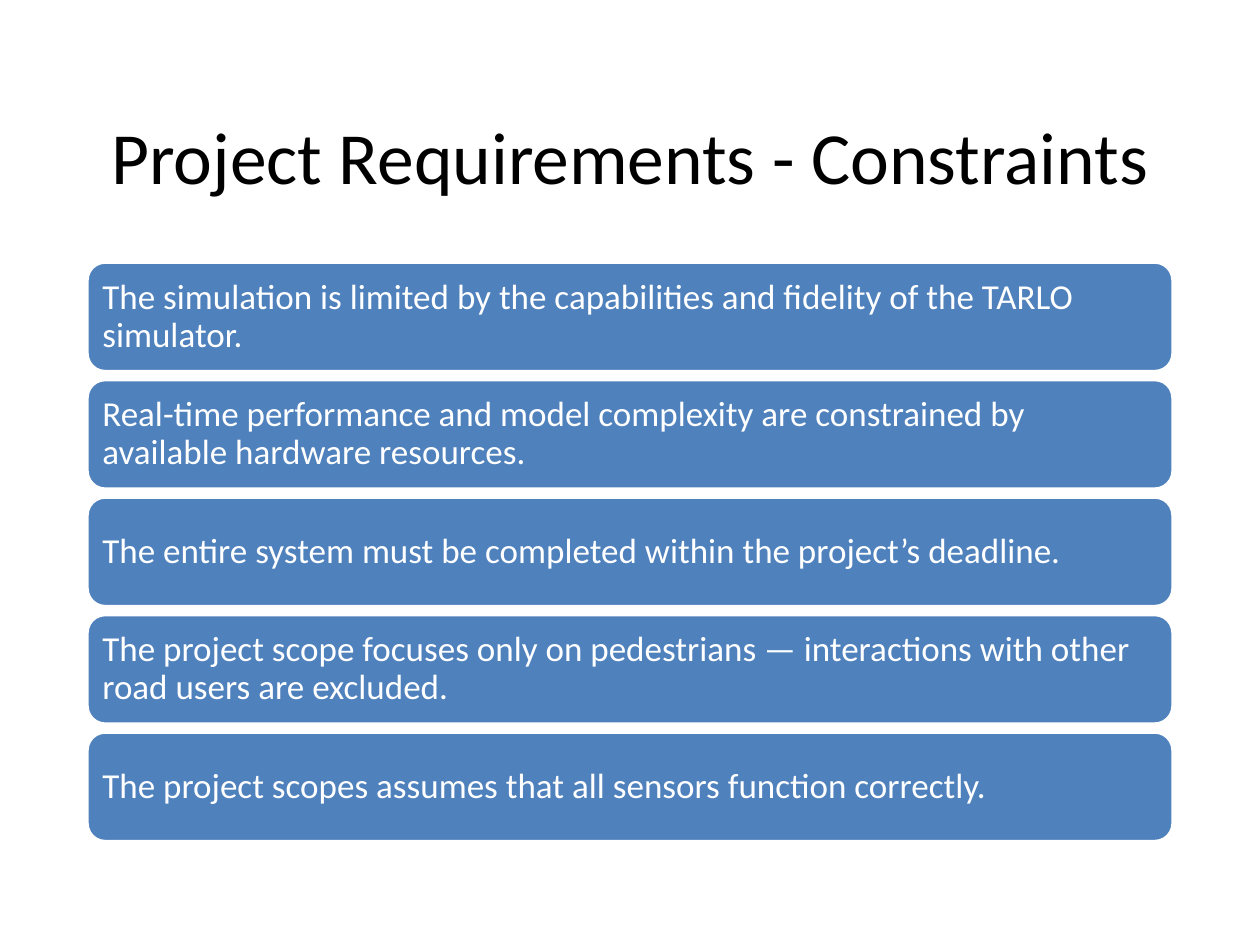
from pptx import Presentation
from pptx.dml.color import RGBColor
from pptx.enum.shapes import MSO_SHAPE
from pptx.enum.text import MSO_ANCHOR, PP_ALIGN
from pptx.util import Inches, Pt

ROUNDED = MSO_SHAPE.ROUNDED_RECTANGLE
MIDDLE = MSO_ANCHOR.MIDDLE
LEFT, CENTER = PP_ALIGN.LEFT, PP_ALIGN.CENTER

BLACK = RGBColor(0x00, 0x00, 0x00)
WHITE = RGBColor(0xFF, 0xFF, 0xFF)
BLUE = RGBColor(0x4F, 0x81, 0xBD)

MARGIN, WIDTH = 0.69, 8.62
BAR_TOP, BAR_HEIGHT, BAR_STEP = 2.08, 0.87, 0.9325

CONSTRAINTS = [
    "The simulation is limited by the capabilities and fidelity of the TARLO simulator.",
    "Real-time performance and model complexity are constrained by available hardware resources.",
    "The entire system must be completed within the project’s deadline.",
    "The project scope focuses only on pedestrians — interactions with other road users are excluded.",
    "The project scopes assumes that all sensors function correctly.",
]
BAR_STEP = round((5.81 - BAR_TOP) / (len(CONSTRAINTS) - 1), 4)


class SlideBuilder:
    font = "Calibri"
    title_size = Pt(42)
    bar_size = Pt(20)

    def __init__(self, slide):
        self.slide = slide

    def set_text(self, sp, text, size, color, align, spacing):
        tf = sp.text_frame
        tf.text = text
        tf.word_wrap = True
        tf.vertical_anchor = MIDDLE
        p = tf.paragraphs[0]
        p.alignment = align
        p.line_spacing = spacing
        font = p.runs[0].font
        font.name, font.size = self.font, size
        font.color.rgb = color

    def title(self, text, top, height):
        sp = self.slide.shapes.add_textbox(
            Inches(MARGIN), Inches(top), Inches(WIDTH), Inches(height))
        self.set_text(sp, text, self.title_size, BLACK, CENTER, 1.0)

    def bar(self, text, top):
        sp = self.slide.shapes.add_shape(
            ROUNDED, Inches(MARGIN), Inches(top), Inches(WIDTH), Inches(BAR_HEIGHT))
        sp.shadow.inherit = False
        sp.fill.solid()
        sp.fill.fore_color.rgb = BLUE
        sp.line.color.rgb = WHITE
        sp.line.width = Pt(2)
        self.set_text(sp, text, self.bar_size, WHITE, LEFT, 0.9)
        # The rounded outline already insets its text by about 0.04 inches.
        tf = sp.text_frame
        tf.margin_left = tf.margin_right = Inches(0.08)
        tf.margin_top = tf.margin_bottom = Inches(0.05)


def main():
    prs = Presentation()
    prs.slide_width, prs.slide_height = Inches(10), Inches(7.5)
    s = SlideBuilder(prs.slides.add_slide(prs.slide_layouts[6]))
    s.title("Project Requirements - Constraints", 0.61, 1.24)
    for i, text in enumerate(CONSTRAINTS):
        s.bar(text, BAR_TOP + i * BAR_STEP)
    prs.save("out.pptx")


if __name__ == "__main__":
    main()
